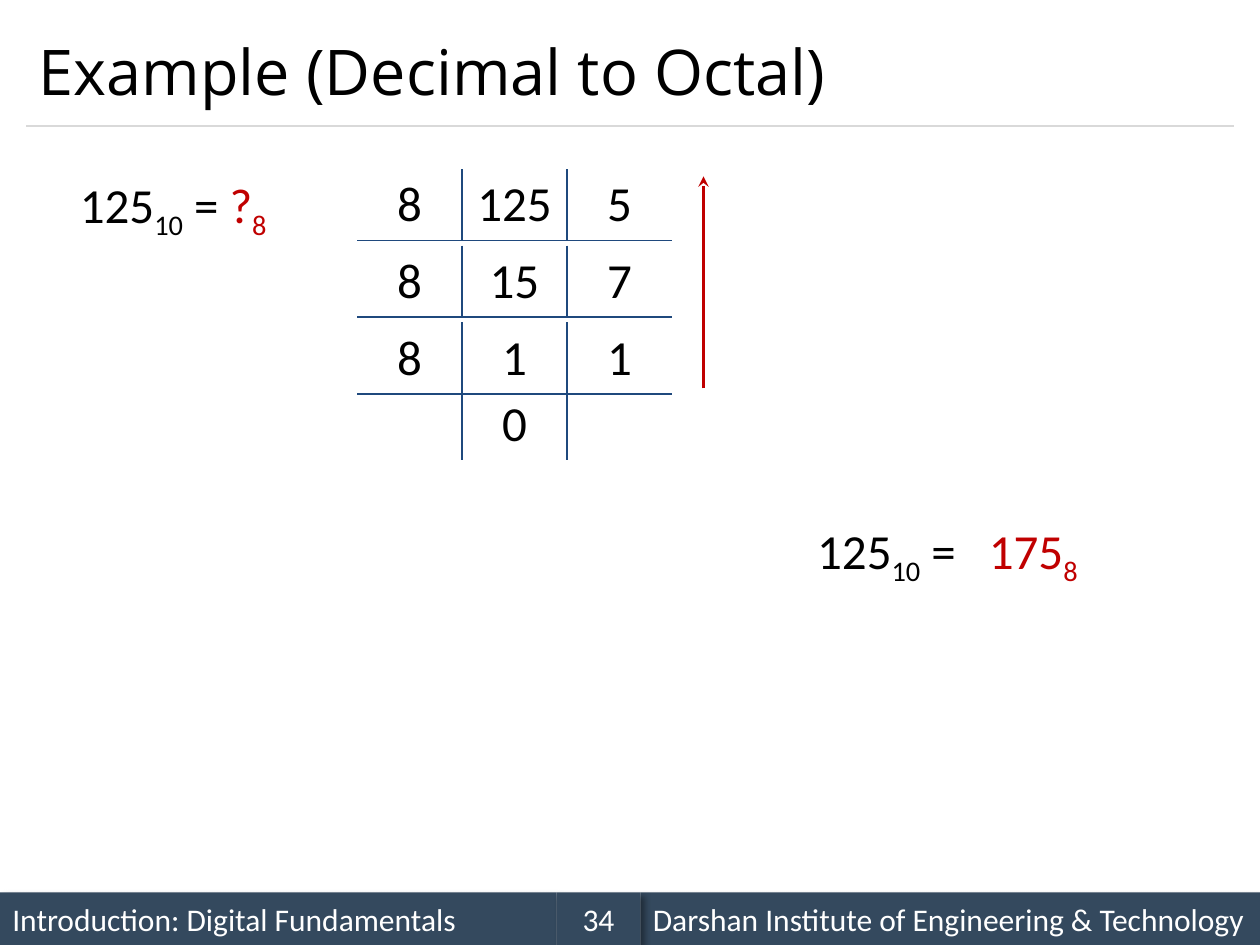
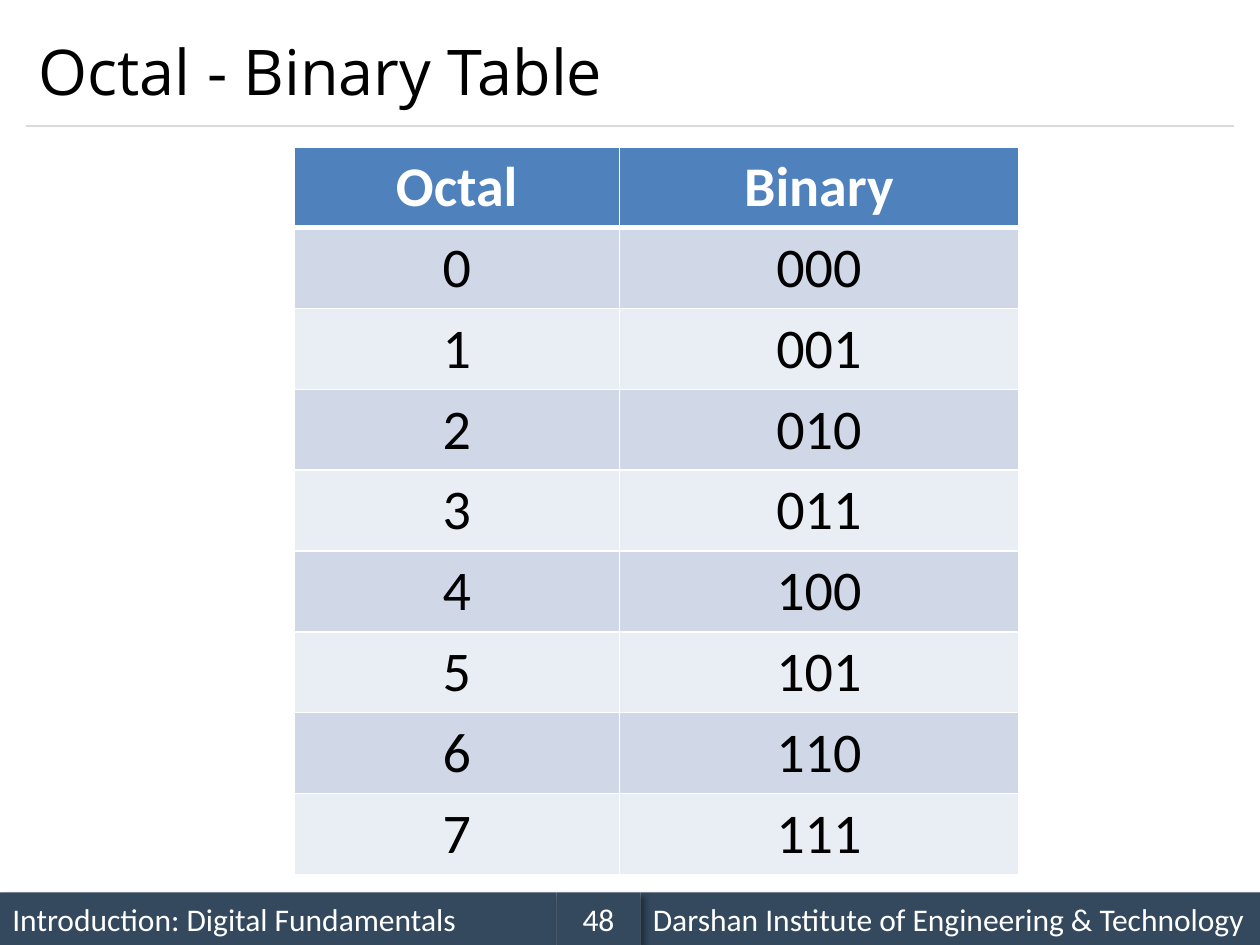
import pptx
import pptx.dml.color
import pptx.enum.shapes
import pptx.enum.text
import pptx.oxml
import pptx.oxml.ns
import pptx.util

RGBColor = pptx.dml.color.RGBColor
ALIGN = pptx.enum.text.PP_ALIGN
ANCHOR = pptx.enum.text.MSO_ANCHOR

BLACK = RGBColor(0x00, 0x00, 0x00)
WHITE = RGBColor(0xFF, 0xFF, 0xFF)
SLATE = RGBColor(0x34, 0x49, 0x5E)
RULE_GREY = RGBColor(0xD9, 0xD9, 0xD9)
RED = RGBColor(0xC0, 0x00, 0x00)
NAVY = RGBColor(0x1F, 0x49, 0x7D)
HEADER_BLUE = RGBColor(0x4F, 0x81, 0xBD)
BAND_DARK = RGBColor(0xD0, 0xD8, 0xE8)
BAND_LIGHT = RGBColor(0xE9, 0xED, 0xF4)

BODY_FONT = "Calibri"
TITLE_FONT = "Open Sans"
PLAIN_TABLE_STYLE = "{2D5ABB26-0587-4C30-8999-92F81FD0307C}"

SLIDE_WIDTH = pptx.util.Inches(10)
SLIDE_HEIGHT = pptx.util.Inches(7.5)
GRID_COLUMNS = 12  # square grid: 12 columns by 9 rows
FOOTER_TOP = 8.5
LINE_HEIGHT = 0.68


def grid(*units):
    """Turn grid units into lengths."""
    return [pptx.util.Emu(round(SLIDE_WIDTH * unit / GRID_COLUMNS)) for unit in units]


def drawing_xml(markup):
    return pptx.oxml.parse_xml(markup.replace(" ", f" {pptx.oxml.ns.nsdecls('a')} ", 1))


def style_paragraph(paragraph, size, color, align=ALIGN.CENTER, font=BODY_FONT, bold=False):
    paragraph.alignment = align
    paragraph.font.name = font
    paragraph.font.size = pptx.util.Pt(size)
    paragraph.font.bold = bold
    paragraph.font.color.rgb = color


def add_line(slide, start, end, color, width, arrow=False):
    line = slide.shapes.add_connector(
        pptx.enum.shapes.MSO_CONNECTOR.STRAIGHT, *grid(*start, *end))
    line.line.color.rgb = color
    line.line.width = pptx.util.Pt(width)
    if arrow:
        line.line._get_or_add_ln().append(drawing_xml('<a:tailEnd type="stealth"/>'))
    line._element.spPr.append(drawing_xml("<a:effectLst />"))


def add_title(slide, title):
    frame = slide.shapes.add_textbox(*grid(0.25, 0.14, 11.5, 1.06)).text_frame
    frame.word_wrap = True
    frame.vertical_anchor = ANCHOR.MIDDLE
    frame.text = title
    style_paragraph(frame.paragraphs[0], 36, BLACK, ALIGN.LEFT, TITLE_FONT)
    add_line(slide, (0.25, 1.2), (11.75, 1.2), RULE_GREY, 0.75)


def add_footer_band(slide, left, width, caption, align=ALIGN.LEFT):
    band = slide.shapes.add_shape(
        pptx.enum.shapes.MSO_SHAPE.RECTANGLE, *grid(left, FOOTER_TOP, width, 0.5))
    band.fill.solid()
    band.fill.fore_color.rgb = SLATE
    band.line.fill.background()
    band._element.spPr.append(drawing_xml(
        '<a:effectLst ><a:outerShdw blurRad="50800" dist="38100" dir="2700000" '
        'algn="tl" rotWithShape="0"><a:srgbClr val="000000"><a:alpha val="40000"/>'
        '</a:srgbClr></a:outerShdw></a:effectLst>'))
    band.text_frame.word_wrap = True
    band.text_frame.vertical_anchor = ANCHOR.MIDDLE
    band.text_frame.text = caption
    style_paragraph(band.text_frame.paragraphs[0], 18, WHITE, align)


def add_lecture_slide(deck, title, number):
    """Add a slide with the title, rule and footer that all slides share."""
    slide = deck.slides.add_slide(deck.slide_layouts[6])
    add_footer_band(slide, 0, 5.3, "Introduction: Digital Fundamentals")
    add_footer_band(slide, 6.1, 5.9, "Darshan Institute of Engineering & Technology")
    add_footer_band(slide, 5.3, 0.8, str(number), ALIGN.CENTER)
    add_title(slide, title)
    return slide


def add_equation(slide, left, top, width, terms):
    """Write terms of (text, color, is_subscript) on one line."""
    frame = slide.shapes.add_textbox(*grid(left, top, width, LINE_HEIGHT)).text_frame
    frame.word_wrap = True
    paragraph = frame.paragraphs[0]
    style_paragraph(paragraph, 28, BLACK)
    for text, color, is_subscript in terms:
        run = paragraph.add_run()
        run.text = text
        run.font.color.rgb = color
        if is_subscript:
            run.font._element.set("baseline", "-25000")


def add_plain_table(slide, left, top, column_widths, row_height, rows):
    """Add a centred table without style, whose cells are still to be formatted."""
    frame = slide.shapes.add_table(
        rows, len(column_widths),
        *grid(left, top, sum(column_widths), rows * row_height))
    table = frame.table
    table.first_row = table.horz_banding = False
    for style in frame._element.iter(pptx.oxml.ns.qn("a:tableStyleId")):
        style.text = PLAIN_TABLE_STYLE
    for column, width in zip(table.columns, grid(*column_widths)):
        column.width = width
    for row in table.rows:
        row.height = grid(row_height)[0]
    return table


def format_cell(cell, text, size, color, borders, fill=None, bold=False):
    """Borders map a side, in the order L R T B, to (color, points)."""
    cell.text = text
    style_paragraph(cell.text_frame.paragraphs[0], size, color, bold=bold)
    properties = cell._tc.get_or_add_tcPr()
    for side, (border_color, points) in borders.items():
        properties.append(drawing_xml(
            f'<a:ln{side} w="{pptx.util.Pt(points)}"><a:solidFill>'
            f'<a:srgbClr val="{border_color}"/></a:solidFill></a:ln{side}>'))
    if fill is None:
        cell.fill.background()
    else:
        cell.fill.solid()
        cell.fill.fore_color.rgb = fill


def add_division_cell(slide, column, top, text, sides):
    table = add_plain_table(slide, 3.4 + column, top, [1], LINE_HEIGHT, 1)
    format_cell(table.cell(0, 0), text, 28, BLACK, {side: (NAVY, 1) for side in sides})


def add_division_ladder(slide, steps):
    """Stack divisor, dividend and remainder of each step, down to the last 0."""
    for step, values in enumerate(steps):
        for column, (value, sides) in enumerate(zip(values, ("RB", "RB", "B"))):
            add_division_cell(slide, column, 1.61 + 0.73 * step, value, sides)
    add_division_cell(slide, 1, 3.7, "0", "LR")
    add_line(slide, (6.7, 3.7), (6.7, 1.68), RED, 2, arrow=True)


def add_conversion_table(slide, headings, rows):
    table = add_plain_table(slide, 2.8, 1.4, [3.1, 3.8], 0.77, len(rows) + 1)
    white_grid = {side: (WHITE, 1) for side in "LRTB"}
    for column, heading in enumerate(headings):
        format_cell(table.cell(0, column), heading, 32, WHITE,
                    {**white_grid, "B": (WHITE, 3)}, HEADER_BLUE, bold=True)
    for row, values in enumerate(rows, start=1):
        band = BAND_DARK if row % 2 else BAND_LIGHT
        borders = {**white_grid, "T": (WHITE, 3 if row == 1 else 1)}
        for column, value in enumerate(values):
            format_cell(table.cell(row, column), value, 32, BLACK, borders, band)


def main():
    deck = pptx.Presentation()
    deck.slide_width, deck.slide_height = SLIDE_WIDTH, SLIDE_HEIGHT

    example = add_lecture_slide(deck, "Example (Decimal to Octal)", 34)
    decimal = [("125", BLACK, False), ("10", BLACK, True), (" = ", BLACK, False)]
    add_equation(example, 0.3, 1.6, 2.7, decimal + [("?", RED, False), ("8", RED, True)])
    add_division_ladder(example, [("8", "125", "5"), ("8", "15", "7"), ("8", "1", "1")])
    add_equation(example, 7.6, 4.9, 1.79, decimal)
    add_equation(example, 9.1, 4.9, 1.48, [("175", RED, False), ("8", RED, True)])

    conversion = add_lecture_slide(deck, "Octal - Binary Table", 48)
    add_conversion_table(conversion, ("Octal", "Binary"),
                         [(f"{digit:o}", f"{digit:03b}") for digit in range(8)])

    deck.save("out.pptx")


if __name__ == "__main__":
    main()
